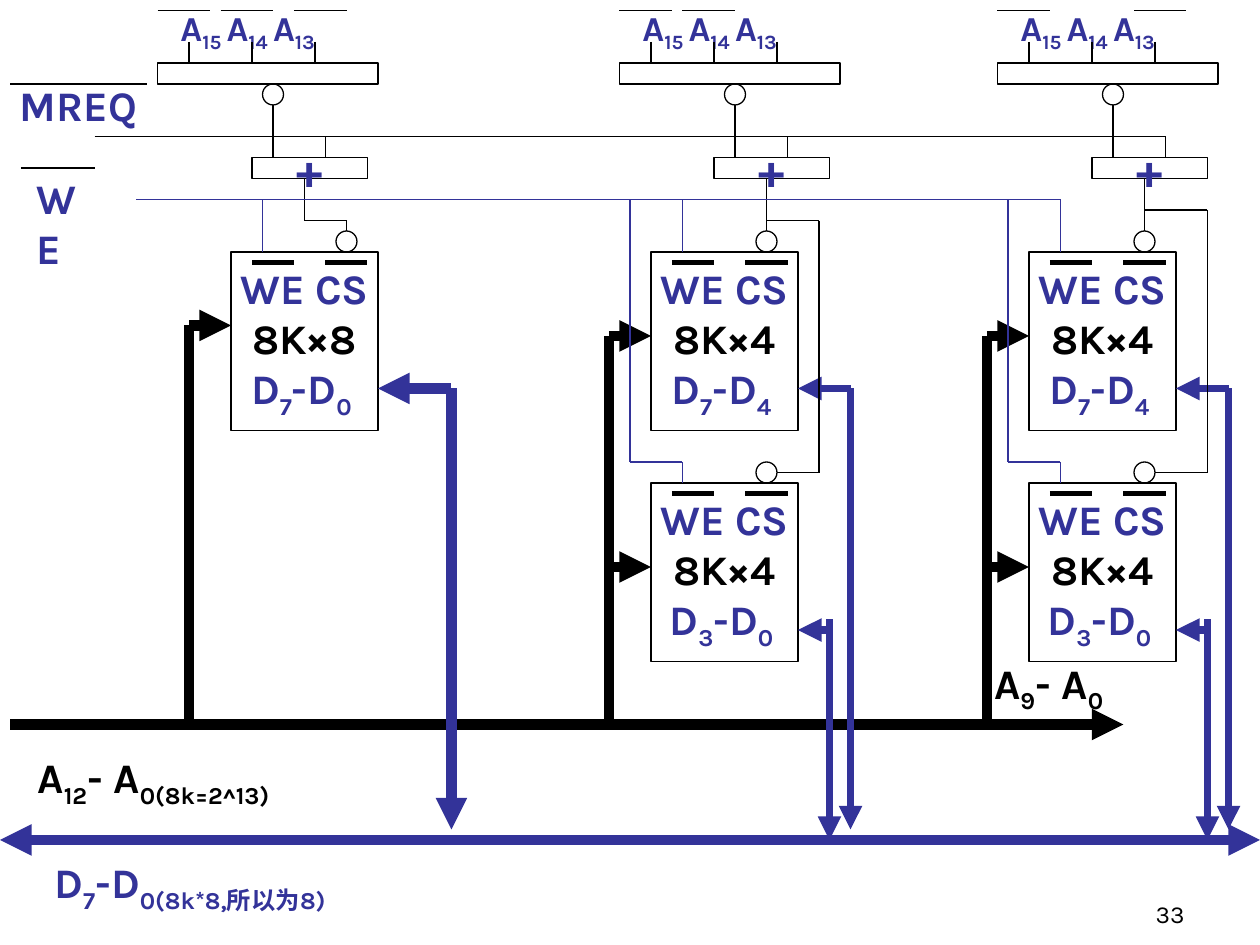
from itertools import pairwise

from lxml import etree
from pptx import Presentation
from pptx.dml.color import RGBColor
from pptx.enum.shapes import MSO_CONNECTOR, MSO_SHAPE
from pptx.enum.text import MSO_ANCHOR, PP_ALIGN
from pptx.oxml.ns import qn
from pptx.util import Pt

PX = 7620
BLACK = RGBColor(0x00, 0x00, 0x00)
INDIGO = RGBColor(0x33, 0x33, 0x99)
FONT = "Karla"
RECT, OVAL = MSO_SHAPE.RECTANGLE, MSO_SHAPE.OVAL
STRAIGHT = MSO_CONNECTOR.STRAIGHT
LEFT, CENTER, RIGHT = PP_ALIGN.LEFT, PP_ALIGN.CENTER, PP_ALIGN.RIGHT
TOP, MIDDLE, BOTTOM = MSO_ANCHOR.TOP, MSO_ANCHOR.MIDDLE, MSO_ANCHOR.BOTTOM
THIN, BAR, HALF_BUS, BUS = 0.75, 3, 4.5, 6
MREQ_Y, WE_Y, ADDRESS_Y, DATA_Y = 130, 190, 690, 800
UPPER_Y, LOWER_Y = 240, 460
CHIP_W, CHIP_H, BUBBLE = 140, 170, 20


def write(shape, lines, size=24, bold=True, align=LEFT, anchor=TOP, wrap=True):
    """Fill a shape with (text, colour) lines; underscores toggle subscript."""
    frame = shape.text_frame
    frame.word_wrap = wrap
    frame.vertical_anchor = anchor
    for index, (text, color) in enumerate(lines):
        paragraph = frame.add_paragraph() if index else frame.paragraphs[0]
        paragraph.alignment = align
        for part, piece in enumerate(text.split("_")):
            if not piece:
                continue
            run = paragraph.add_run()
            run.text = piece
            run.font.name = FONT
            run.font.size = Pt(size)
            run.font.bold = bold
            run.font.color.rgb = color
            if part % 2:
                run.font._element.set("baseline", "-25000")


def label(slide, box, text, color=INDIGO, **style):
    """Add a text box holding one line."""
    write(slide.shapes.add_textbox(*(n * PX for n in box)), [(text, color)], **style)


def outline(slide, kind, x, y, width, height):
    """Add an unfilled shape with a thin black outline."""
    shape = slide.shapes.add_shape(kind, x * PX, y * PX, width * PX, height * PX)
    shape.shadow.inherit = False
    shape.fill.background()
    shape.line.color.rgb = BLACK
    shape.line.width = Pt(THIN)
    return shape


def wire(slide, *points, color=BLACK, weight=THIN, ends=()):
    """Join points with straight lines, with arrowheads on the last one."""
    segments = list(pairwise(points))
    for segment in segments:
        line = slide.shapes.add_connector(
            STRAIGHT, *(n * PX for point in segment for n in point))
        line.line.color.rgb = color
        line.line.width = Pt(weight)
        properties = line._element.spPr
        etree.SubElement(properties, qn("a:effectLst"))
        if segment == segments[-1]:
            for end in ends:
                etree.SubElement(properties.find(qn("a:ln")), qn(end), type="triangle")


def arrow(slide, *points, **style):
    """Add a wire that ends in an arrowhead."""
    wire(slide, *points, ends=["a:tailEnd"], **style)


def buses(slide):
    """Draw the address and data buses with their captions."""
    arrow(slide, (10, ADDRESS_Y), (1070, ADDRESS_Y), weight=BUS)
    wire(slide, (0, DATA_Y), (1200, DATA_Y), color=INDIGO, weight=BUS,
         ends=["a:headEnd", "a:tailEnd"])
    label(slide, (24, 710, 406, 67), "A_12_- A_0(8k=2^13)", BLACK)
    label(slide, (935, 620, 175, 67), "A_9_- A_0", BLACK)
    label(slide, (40, 810, 380, 67), "D_7_-D_0(8k*8,所以为8)")


def control_lines(slide):
    """Draw the MREQ and WE lines with their overlined names."""
    label(slide, (7, 70, 142, 60), "MREQ", wrap=False)
    wire(slide, (10, 80), (140, 80))
    wire(slide, (90, MREQ_Y), (1110, MREQ_Y))
    label(slide, (23, 158, 80, 60), "WE")
    wire(slide, (20, 160), (90, 160))
    wire(slide, (130, WE_Y), (1010, WE_Y), color=INDIGO)


def decoder(slide, x, inverted):
    """Draw the address decoder and the OR gate it shares with MREQ."""
    label(slide, (x + 10, 0, 190, 58), "A_15 _A_14 _A_13", size=20)
    for offset in inverted:
        wire(slide, (x + offset, 10), (x + offset + 50, 10))
    for offset in (30, 90, 150):
        wire(slide, (x + offset, 40), (x + offset, 60))
    outline(slide, RECT, x, 60, 210, 20)
    outline(slide, OVAL, x + 100, 80, BUBBLE, BUBBLE)
    wire(slide, (x + 110, 100), (x + 110, 150))
    wire(slide, (x + 160, MREQ_Y), (x + 160, 150))
    gate = outline(slide, RECT, x + 90, 150, 110, 20)
    write(gate, [("+", INDIGO)], size=28, align=CENTER, anchor=MIDDLE, wrap=False)


def chip(slide, x, y, capacity, pins):
    """Draw a memory chip with overlined WE and CS pins."""
    body = outline(slide, RECT, x, y, CHIP_W, CHIP_H)
    write(body, [("WE CS", INDIGO), (capacity, BLACK), (pins, INDIGO)],
          align=CENTER, anchor=MIDDLE, wrap=False)
    for offset in (20, 90):
        wire(slide, (x + offset, y + 10), (x + offset + 40, y + 10), weight=BAR)
    outline(slide, OVAL, x + 100, y - BUBBLE, BUBBLE, BUBBLE)


def byte_bank(slide, x):
    """Draw one eight-bit chip and its connections."""
    chip(slide, x, UPPER_Y, "8K×8", "D_7_-D_0 ")
    address_x, data_x, data_y = x - 40, x + 210, UPPER_Y + 130
    wire(slide, (address_x, ADDRESS_Y), (address_x, 310), weight=BUS)
    arrow(slide, (address_x, 310), (x, 310), weight=BUS)
    arrow(slide, (data_x, data_y), (data_x, 790), color=INDIGO, weight=BUS)
    arrow(slide, (data_x, data_y), (x + CHIP_W, data_y), color=INDIGO, weight=BUS)
    wire(slide, (x + 30, WE_Y), (x + 30, UPPER_Y), color=INDIGO)
    wire(slide, (x + 70, 170), (x + 70, 210), (x + 110, 210), (x + 110, 220))


def nibble_bank(slide, x, branch_x, branch_y):
    """Draw a pair of four-bit chips and their connections."""
    address_x, select_x, enable_x = x - 40, x + 110, x + 30
    wire(slide, (address_x, ADDRESS_Y), (address_x, UPPER_Y + 80), weight=BUS)
    rows = ((UPPER_Y, "D_7_-D_4 ", 190, 130, 130, 790),
            (LOWER_Y, "D_3_-D_0 ", 170, 130, 140, DATA_Y))
    for y, pins, offset, start, pin, end in rows:
        chip(slide, x, y, "8K×4", pins)
        arrow(slide, (address_x, y + 80), (x, y + 80), weight=BUS)
        data_x = x + offset
        arrow(slide, (data_x, y + start), (data_x, end), color=INDIGO, weight=HALF_BUS)
        arrow(slide, (data_x, y + pin), (x + CHIP_W, y + pin),
              color=INDIGO, weight=HALF_BUS)
    wire(slide, (enable_x, WE_Y), (enable_x, UPPER_Y), color=INDIGO)
    wire(slide, (x - 20, WE_Y), (x - 20, 440), (enable_x, 440),
         (enable_x, LOWER_Y), color=INDIGO)
    wire(slide, (select_x, 170), (select_x, 220))
    wire(slide, (select_x, branch_y), (branch_x, branch_y),
         (branch_x, 450), (x + 120, 450))


def main():
    """Build the memory expansion diagram."""
    deck = Presentation()
    deck.slide_width, deck.slide_height = 1200 * PX, 900 * PX
    slide = deck.slides.add_slide(deck.slide_layouts[6])
    buses(slide)
    byte_bank(slide, 220)
    nibble_bank(slide, 620, 780, 210)
    nibble_bank(slide, 980, 1150, 200)
    control_lines(slide)
    for x, inverted in ((150, (0, 60, 130)), (590, (0, 60)), (950, (0, 130))):
        decoder(slide, x, inverted)
    label(slide, (890, 830, 250, 60), "33", BLACK, size=14, bold=False,
          align=RIGHT, anchor=BOTTOM)
    deck.save("out.pptx")


if __name__ == "__main__":
    main()
